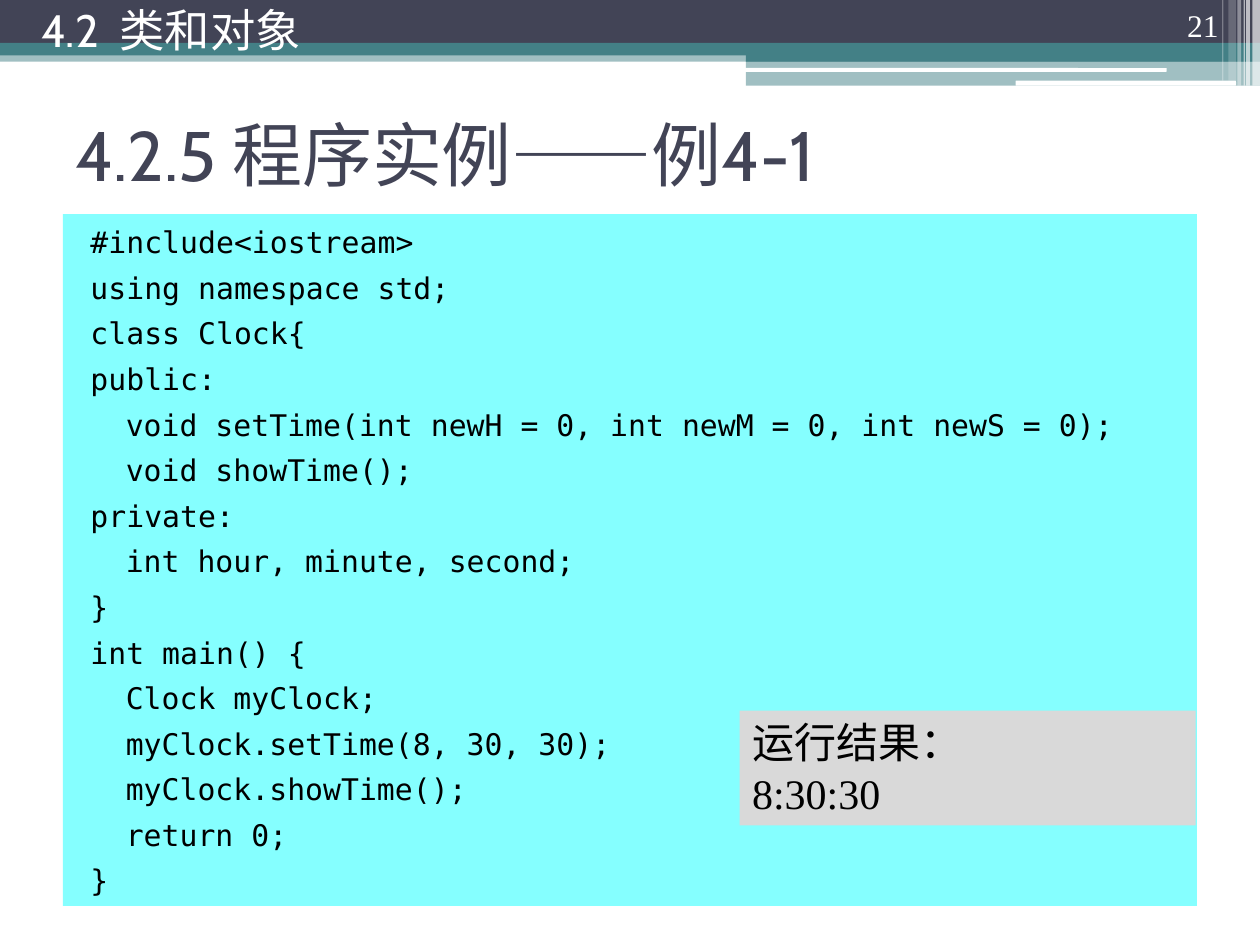
import pptx
import pptx.dml.color
import pptx.enum.shapes
import pptx.enum.text
import pptx.oxml.ns
import pptx.util
import lxml.etree

SCALE = 9144  # EMU per px, 100 px to the inch
THEME = {
    "navy": "424456", "teal": "438086", "white": "FFFFFF", "black": "000000",
    "code_fill": "85FFFF", "result_fill": "D9D9D9",
    "heading_font": "Cabin", "code_font": "DejaVu Sans Mono", "text_font": "Times New Roman",
    "title_size": 40, "section_size": 25.9, "result_size": 24, "number_size": 18, "code_size": 17,
}
SHAPES = pptx.enum.shapes.MSO_SHAPE
ANCHOR = pptx.enum.text.MSO_ANCHOR
ALIGN = pptx.enum.text.PP_ALIGN

presentation = pptx.Presentation()
presentation.slide_width = 1000 * SCALE
presentation.slide_height = 750 * SCALE
slide = presentation.slides.add_slide(presentation.slide_layouts[6])


def add_box(box, color, opacity=100, kind=SHAPES.RECTANGLE):
    shape = slide.shapes.add_shape(kind, *(value * SCALE for value in box))
    shape.shadow.inherit = False
    shape.line.fill.background()
    shape.fill.solid()
    shape.fill.fore_color.rgb = pptx.dml.color.RGBColor.from_string(THEME[color])
    if opacity < 100:
        color_element = shape.fill._xPr.find(".//" + pptx.oxml.ns.qn("a:srgbClr"))
        lxml.etree.SubElement(color_element, pptx.oxml.ns.qn("a:alpha"), val=str(opacity * 1000))
    return shape


def add_text(text, box=None, shape=None, font="text_font", size="code_size", color="black",
             anchor=ANCHOR.TOP, align=ALIGN.LEFT, spacing=None, before=0, left=0, indent=0):
    if shape is None:
        shape = slide.shapes.add_textbox(*(value * SCALE for value in box))
    frame = shape.text_frame
    frame.word_wrap = True
    frame.vertical_anchor = anchor
    frame.text = text
    for paragraph in frame.paragraphs:
        paragraph.alignment = align
        paragraph.line_spacing = spacing
        paragraph.space_before = pptx.util.Pt(before)
        properties = paragraph._p.get_or_add_pPr()
        properties.set("marL", str(left * SCALE))
        properties.set("indent", str(indent * SCALE))
        for run in paragraph.runs:
            run.font.name = THEME[font]
            run.font.size = pptx.util.Pt(THEME[size])
            run.font.color.rgb = pptx.dml.color.RGBColor.from_string(THEME[color])


# Header bands
for box, color, opacity in [
    ((0, 40, 1000, 9), "teal", 50),
    ((0, 0, 1000, 34), "navy", 100),
    ((0, 34, 1000, 10), "teal", 100),
    ((592, 39, 408, 10), "teal", 100),
    ((592, 48, 408, 20), "teal", 50),
]:
    add_box(box, color, opacity)

# White rounded strips under the header
for box in [(591, 54, 335, 3), (806, 64, 175, 4)]:
    strip = add_box(box, "white", kind=SHAPES.ROUNDED_RECTANGLE)
    strip.adjustments[0] = 0.17

# Vertical stripes at the right edge
for left, width, height, opacity in [
    (994, 6, 68, 65), (989, 3, 68, 65), (987, 1, 68, 60),
    (982, 3, 68, 40), (975, 6, 64, 20), (970, 1, 64, 30),
]:
    add_box((left, 0, width, height), "white", opacity)

# Title
add_text("4.2.5 程序实例——例4-1", box=(50, 63, 900, 117), font="heading_font",
         size="title_size", color="navy", anchor=ANCHOR.MIDDLE)

# Code listing
code = """#include<iostream>
using namespace std;
class Clock{
public:
\tvoid setTime(int newH = 0, int newM = 0, int newS = 0);
\tvoid showTime();
private:
\tint hour, minute, second;
}
int main() {
\tClock myClock;
\tmyClock.setTime(8, 30, 30);
\tmyClock.showTime();
\treturn 0;
}"""
code_panel = add_box((50, 170, 900, 549), "code_fill")
add_text(code, shape=code_panel, font="code_font", spacing=1.1, before=3.6, left=40, indent=-28)

# Slide number and section name
add_text("21", box=(894, 0, 83, 40), size="number_size", color="white",
         anchor=ANCHOR.BOTTOM, align=ALIGN.RIGHT)
add_text("4.2  类和对象", box=(23, 0, 836, 47), font="heading_font",
         size="section_size", color="white", anchor=ANCHOR.MIDDLE)

# Program output
result_panel = add_box((587, 564, 362, 91), "result_fill")
add_text("运行结果：\n8:30:30", shape=result_panel, size="result_size")

presentation.save("out.pptx")
